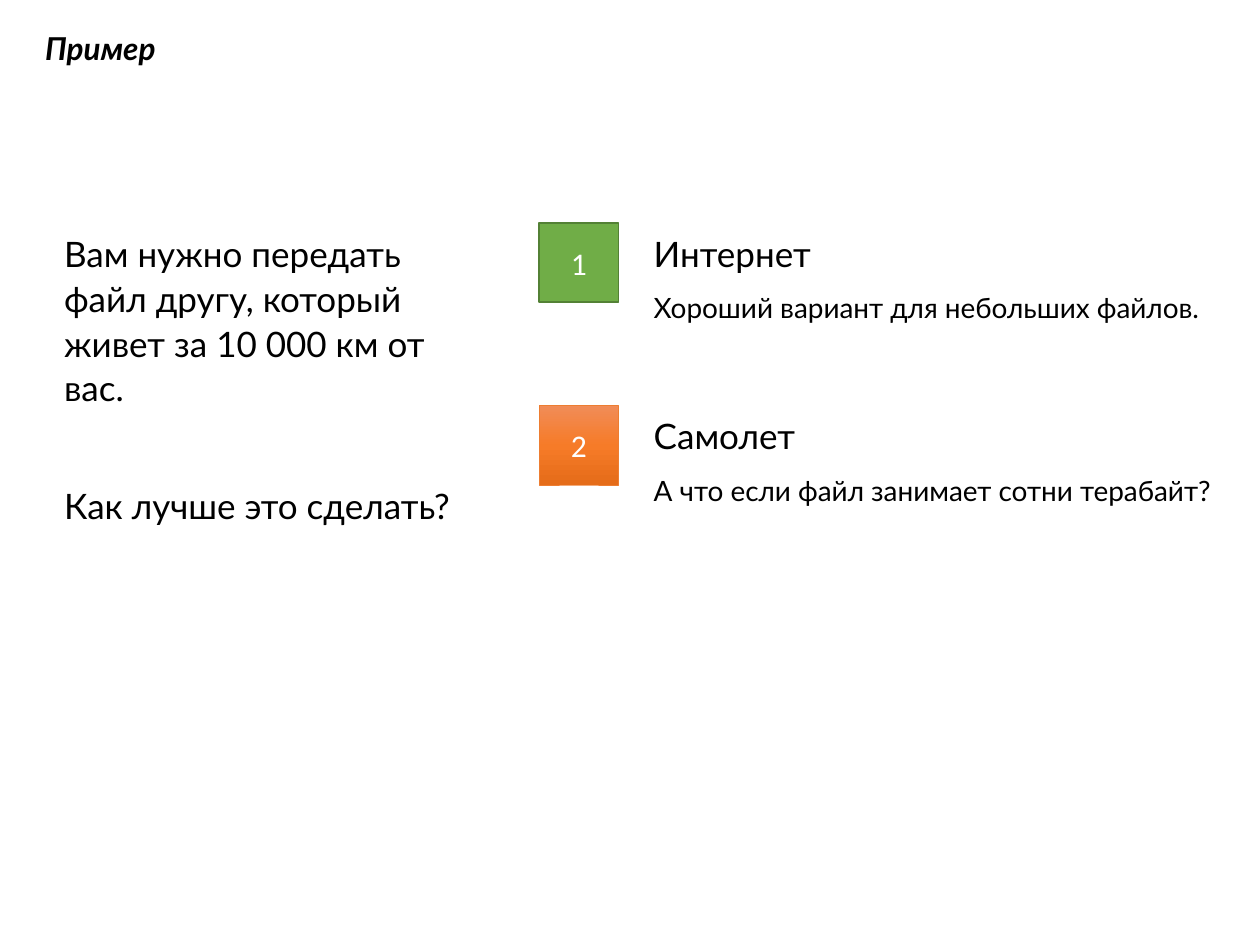
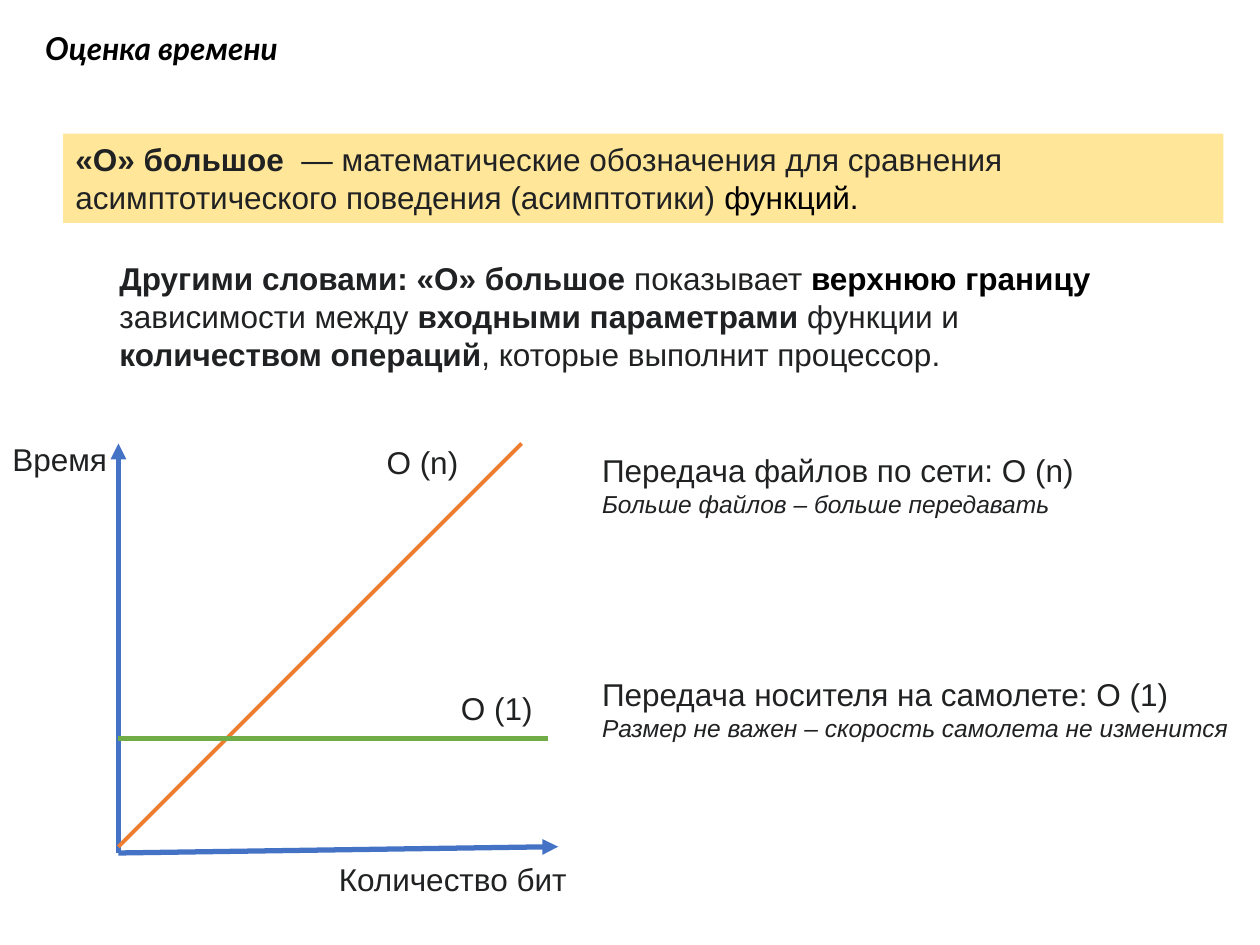
"""Two slides on file transfer: the choice of channel and its big-O time."""
from copy import deepcopy

from lxml import etree
from pptx import Presentation
from pptx.dml.color import RGBColor
from pptx.enum import shapes, text
from pptx.oxml import ns
from pptx.util import Inches, Pt

BLACK = RGBColor(0x00, 0x00, 0x00)
WHITE = RGBColor(0xFF, 0xFF, 0xFF)
INK = RGBColor(0x20, 0x21, 0x22)
BLUE = RGBColor(0x44, 0x72, 0xC4)
GREEN = RGBColor(0x70, 0xAD, 0x47)
MOSS = RGBColor(0x53, 0x81, 0x35)
ORANGE = RGBColor(0xED, 0x7D, 0x31)
SAND = RGBColor(0xFF, 0xE6, 0x99)
GLOW = [RGBColor(0xF1, 0x8C, 0x57), RGBColor(0xF6, 0x7B, 0x28), RGBColor(0xE5, 0x6C, 0x19)]


def write(slide, place, rows, face="Arial", color=INK, gap=0, lead=1.0, wrap=True):
    """Add a text box; each row is (runs, size, italic), each run (words, bold, color)."""
    box = slide.shapes.add_textbox(*map(Inches, place))
    frame = box.text_frame
    frame.word_wrap = wrap
    frame.auto_size = text.MSO_AUTO_SIZE.SHAPE_TO_FIT_TEXT
    for i, (runs, size, slant) in enumerate(rows):
        para = frame.add_paragraph() if i else frame.paragraphs[0]
        para.line_spacing = lead
        para.space_before = Pt(gap if i else 0)
        font = para.font
        font.name, font.size, font.italic = face, Pt(size), slant
        font.color.rgb = color
        if isinstance(runs, str):
            para.add_run().text = runs
            continue
        for words, bold, tint in runs:
            run = para.add_run()
            run.text = words
            run.font.bold = bold
            run.font.color.rgb = tint
    return box


def draw(slide, start, end, color, width, arrow=False):
    """Add a straight line, with an arrowhead at its end if asked."""
    line = slide.shapes.add_connector(
        shapes.MSO_CONNECTOR.STRAIGHT, *map(Inches, start + end))
    line.line.color.rgb = color
    line.line.width = Pt(width)
    if arrow:
        etree.SubElement(line.line._get_or_add_ln(), ns.qn("a:tailEnd"), type="triangle")
    etree.SubElement(line._element.spPr, ns.qn("a:effectLst"))


deck = Presentation()
deck.slide_width, deck.slide_height = Inches(10), Inches(7.5)
pages = []
for title, width in [("Пример", 1.17), ("Оценка времени", 2.32)]:
    page = deck.slides.add_slide(deck.slide_layouts[6])
    head = write(page, (0.26, 0.18, width, 0.4), [(title, 18, True)],
                 "Lato", BLACK, wrap=False)
    head.text_frame.paragraphs[0].font.bold = True
    pages.append(page)
task, cost = pages

write(task, (0.41, 1.77, 3.35, 2.46), [
    ("Вам нужно передать файл другу, который живет за 10 000 км от вас.", 20, False),
    ("Как лучше это сделать?", 20, False),
], "Lato", BLACK, gap=41.7, lead=1.07)

ways = [
    ("Интернет", "Хороший вариант для небольших файлов.", MOSS, 1),
    ("Самолет", "А что если файл занимает сотни терабайт?", ORANGE, 0.5),
]
tiles = []
for i, (name, note, edge, width) in enumerate(ways):
    top = 1.77 + 1.45 * i
    write(task, (5.09, top, 4.73, 0.84), [(name, 20, False), (note, 16, False)],
          "Lato", BLACK, gap=8, lead=1.07)
    tile = task.shapes.add_shape(
        shapes.MSO_SHAPE.RECTANGLE, *map(Inches, (4.28, top, 0.63, 0.63)))
    tile.shadow.inherit = False
    tile.line.color.rgb = edge
    tile.line.width = Pt(width)
    tile.text_frame.text = str(i + 1)
    tile.text_frame.vertical_anchor = text.MSO_ANCHOR.MIDDLE
    para = tile.text_frame.paragraphs[0]
    para.alignment = text.PP_ALIGN.CENTER
    para.font.name, para.font.size = "Calibri", Pt(18)
    para.font.color.rgb = WHITE
    tiles.append(tile)

tiles[0].fill.solid()
tiles[0].fill.fore_color.rgb = GREEN
fill = tiles[1].fill
fill.gradient()
fill.gradient_angle = 270
first = tiles[1]._element.spPr.find(".//" + ns.qn("a:gs"))
first.addnext(deepcopy(first))
for i, (stop, color) in enumerate(zip(fill.gradient_stops, GLOW)):
    stop.position = i / 2
    stop.color.rgb = color

band = write(cost, (0.5, 1.06, 9.21, 0.71), [([
    ("«O» большое", True, INK),
    ("  — математические обозначения для сравнения "
     "асимптотического поведения (асимптотики) ", False, INK),
    ("функций.", False, BLACK),
], 18, False)])
band.fill.solid()
band.fill.fore_color.rgb = SAND

write(cost, (0.85, 2.01, 8.5, 1.01), [([
    ("Другими словами: «O» большое", True, INK),
    (" показывает ", False, INK),
    ("верхнюю границу ", True, BLACK),
    ("зависимости между ", False, INK),
    ("входными параметрами ", True, INK),
    ("функции и ", False, INK),
    ("количеством операций", True, INK),
    (", которые выполнит процессор.", False, INK),
], 18, False)])

left, base, peak = 0.94, 6.77, 3.52
draw(cost, (left, base), (4.43, 6.72), BLUE, 3, True)
draw(cost, (left, base), (left, peak), BLUE, 3, True)
draw(cost, (left, 6.72), (4.14, peak), ORANGE, 2.25)
draw(cost, (left, 5.86), (4.35, 5.86), GREEN, 3)

for label, x, y, width in [
    ("Время", 0, 3.44, 1.07),
    ("Количество бит", 2.59, 6.78, 2.22),
    ("О (1)", 3.56, 5.42, 0.87),
    ("О (n)", 2.97, 3.47, 0.87),
]:
    write(cost, (x, y, width, 0.4), [(label, 18, False)])

for name, note, y, width in [
    ("Передача файлов по сети: О (n)", "Больше файлов – больше передавать", 3.53, 4.57),
    ("Передача носителя на самолете: О (1)",
     "Размер не важен – скорость самолета не изменится", 5.31, 5.23),
]:
    write(cost, (4.68, y, width, 0.64), [(name, 18, False), (note, 14, True)])

deck.save("out.pptx")
